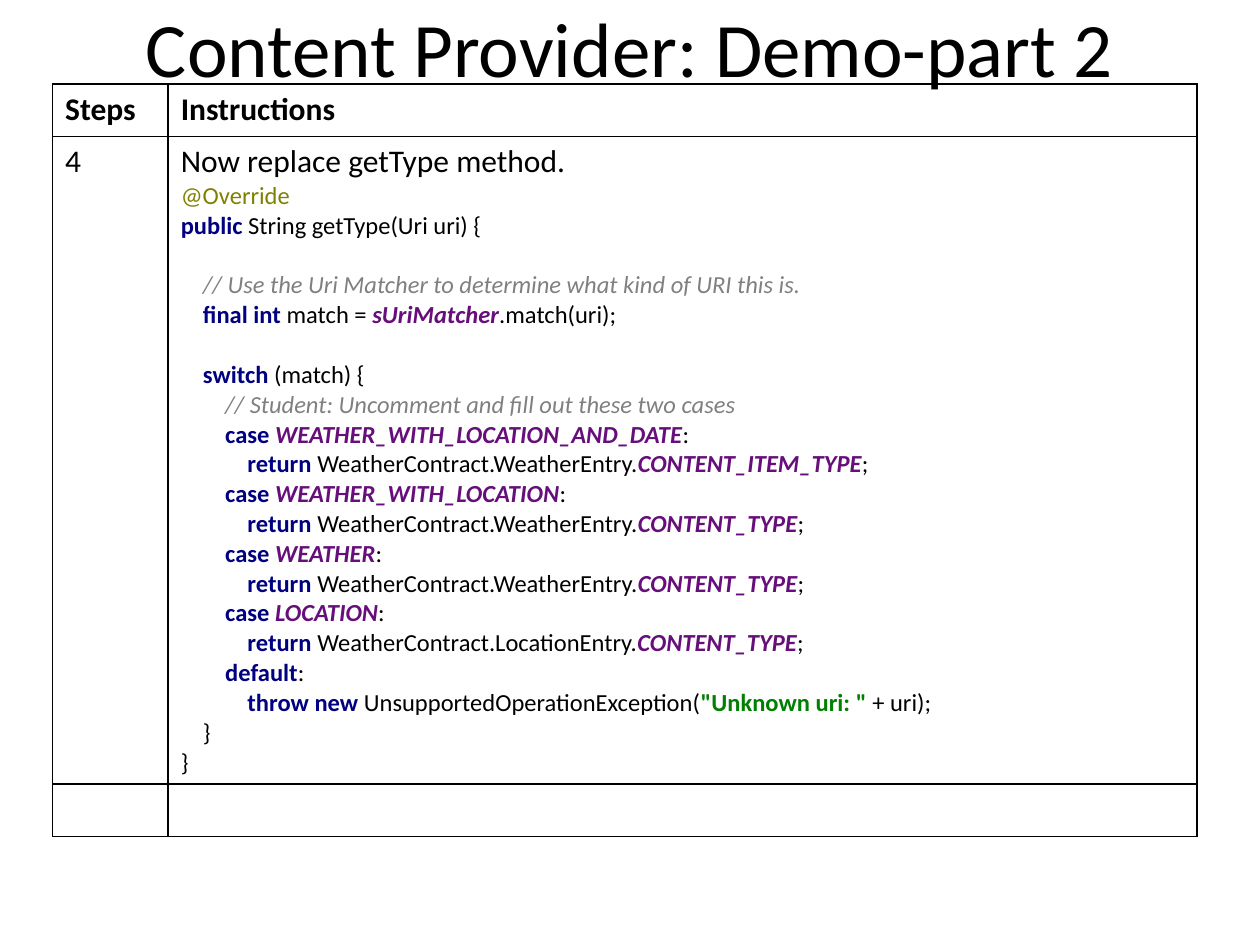
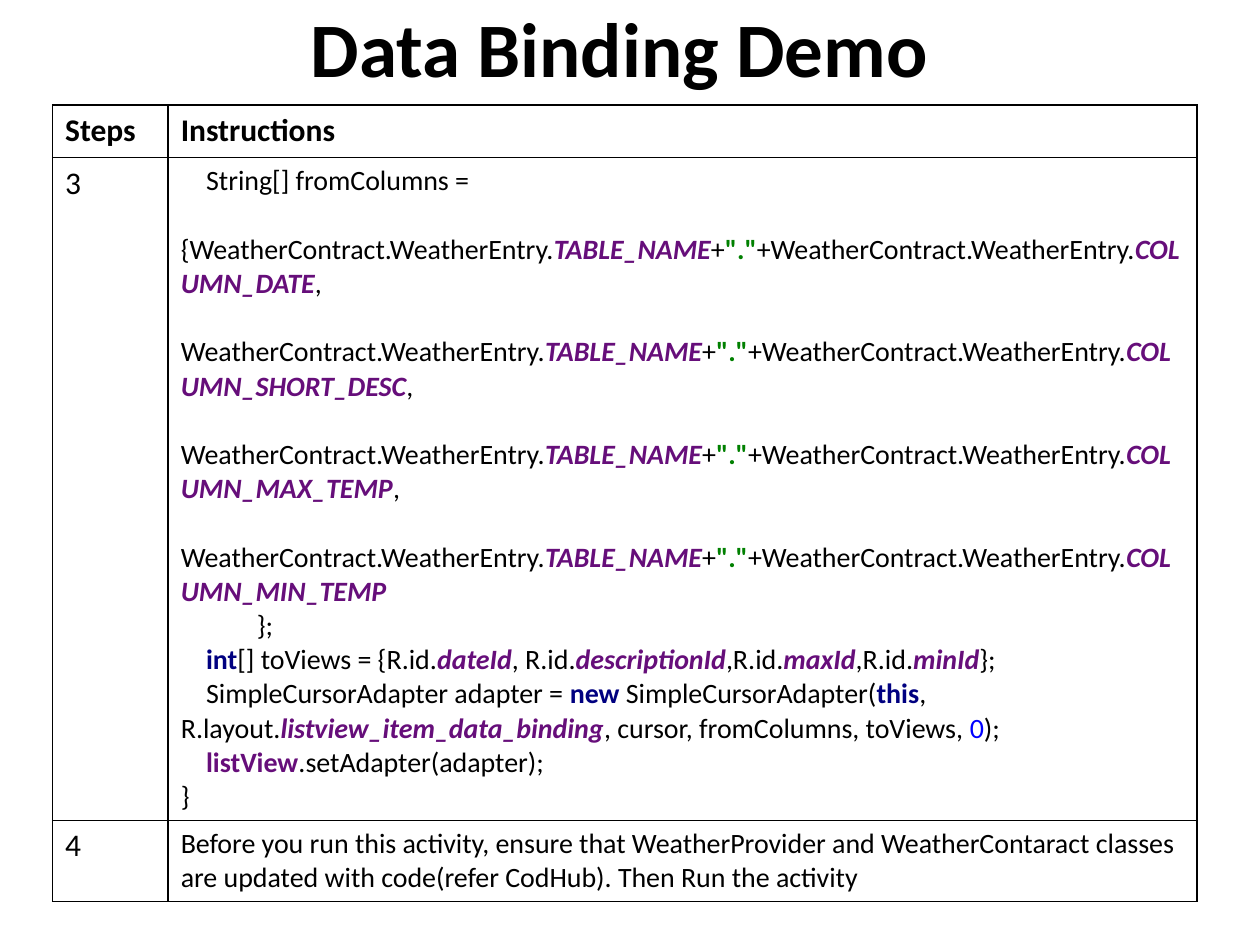
from dataclasses import dataclass

import pptx
import pptx.dml.color
import pptx.enum.text
import pptx.oxml
import pptx.oxml.ns
import pptx.util
from pptx.util import Cm

COLOURS = {
    "text": "000000",
    "annotation": "808000",
    "keyword": "000080",
    "comment": "808080",
    "field": "660E7A",
    "string": "008000",
    "number": "0000FF",
}
FONT = "Calibri"
LINE_HEIGHT = 1.22      # of the text size
SPACE_WIDTH = 0.008     # centimetres per point of text size
TABLE_LEFT = Cm(1.06)
COLUMN_WIDTHS = (Cm(2.33), Cm(20.74))
ROW_HEIGHT = Cm(1.06)


@dataclass(frozen=True)
class Style:
    colour: str
    bold: bool = False
    italic: bool = False


@dataclass(frozen=True)
class Passage:
    """Lines of text; `x...` marks a span in style x, see SYNTAX."""
    text: str
    size: int = 18
    bold: bool = False


@dataclass(frozen=True)
class Step:
    number: str
    passages: tuple[Passage, ...]
    bold: bool = False


@dataclass(frozen=True)
class StepSlide:
    title: str
    title_left: float
    title_bold: bool
    table_top: float
    table_height: float
    steps: tuple[Step, ...]


SYNTAX = {
    "a": Style("annotation"),
    "k": Style("keyword", bold=True),
    "c": Style("comment", italic=True),
    "f": Style("field", bold=True, italic=True),
    "m": Style("field", bold=True),
    "s": Style("string", bold=True),
    "n": Style("number"),
}

GET_TYPE_CODE = """`a@Override`
`kpublic `String getType(Uri uri) {

    `c// Use the Uri Matcher to determine what kind of URI this is.`
    `kfinal int `match = `fsUriMatcher`.match(uri);

    `kswitch `(match) {
        `c// Student: Uncomment and fill out these two cases`
        `kcase ``fWEATHER_WITH_LOCATION_AND_DATE`:
            `kreturn `WeatherContract.WeatherEntry.`fCONTENT_ITEM_TYPE`;
        `kcase ``fWEATHER_WITH_LOCATION`:
            `kreturn `WeatherContract.WeatherEntry.`fCONTENT_TYPE`;
        `kcase ``fWEATHER`:
            `kreturn `WeatherContract.WeatherEntry.`fCONTENT_TYPE`;
        `kcase ``fLOCATION`:
            `kreturn `WeatherContract.LocationEntry.`fCONTENT_TYPE`;
        `kdefault`:
            `kthrow new `UnsupportedOperationException(`s"Unknown uri: "` + uri);
    }
}"""

# Each column name stands on its own line after a gap
TABLE_COLUMN = ('WeatherContract.WeatherEntry.`fTABLE_NAME`+`s"."`'
                "+WeatherContract.WeatherEntry.`fCOLUMN_{}`")
COLUMN_LIST = ",\n\n".join(
    TABLE_COLUMN.format(name) for name in ("DATE", "SHORT_DESC", "MAX_TEMP", "MIN_TEMP"))

BINDING_CODE = """    String[] fromColumns =

{""" + COLUMN_LIST + """
            };
    `kint`[] toViews = {R.id.`fdateId`, R.id.`fdescriptionId`,R.id.`fmaxId`,R.id.`fminId`};
    SimpleCursorAdapter adapter = `knew `SimpleCursorAdapter(`kthis`, \
R.layout.`flistview_item_data_binding`, cursor, fromColumns, toViews, `n0`);
    `mlistView`.setAdapter(adapter);
}"""

HEADER = Step("Steps", (Passage("Instructions", bold=True),), bold=True)
SLIDES = (
    StepSlide("Content Provider: Demo-part 2", 1.27, False, 1.69, 14.99, (
        HEADER,
        Step("4", (Passage("Now replace getType method."), Passage(GET_TYPE_CODE, 14))),
        Step("", ()),
    )),
    StepSlide("Data Binding Demo", 1.06, True, 2.12, 15.8, (
        HEADER,
        Step("3", (Passage(BINDING_CODE, 16),)),
        Step("4", (Passage(
            "Before you run this activity, ensure that WeatherProvider and "
            "WeatherContaract classes are updated with code(refer CodHub). "
            "Then Run the activity", 16),)),
    )),
)


def format_span(span, size: int, style: Style) -> None:
    span.font.name = FONT
    span.font.size = pptx.util.Pt(size)
    span.font.bold = style.bold
    span.font.italic = style.italic
    span.font.color.rgb = pptx.dml.color.RGBColor.from_string(COLOURS[style.colour])


def write_line(para, line: str, passage: Passage) -> None:
    """Leading spaces become a first-line indent, marked spans become runs."""
    code = line.lstrip(" ")
    depth = len(line) - len(code)
    if depth:
        properties = para._p.get_or_add_pPr()
        properties.set("marL", "0")
        properties.set("indent", str(Cm(depth * SPACE_WIDTH * passage.size)))
    for position, piece in enumerate(code.split("`")):
        if not piece:
            continue
        marked = position % 2 == 1
        span = para.add_run()
        span.text = piece[1:] if marked else piece
        style = SYNTAX[piece[0]] if marked else Style("text", passage.bold)
        format_span(span, passage.size, style)


def fill_cell(cell, passages: tuple[Passage, ...]) -> None:
    frame = cell.text_frame
    started = False
    for passage in passages:
        gap = 0.0
        for line in passage.text.split("\n"):
            if not line:
                gap += passage.size * LINE_HEIGHT
                continue
            para = frame.add_paragraph() if started else frame.paragraphs[0]
            started = True
            if gap:
                para.space_before = pptx.util.Pt(gap)
                gap = 0.0
            write_line(para, line, passage)


def draw_borders(cell) -> None:
    properties = cell._tc.get_or_add_tcPr()
    for side in ("lnL", "lnR", "lnT", "lnB"):
        properties.append(pptx.oxml.parse_xml(
            f'<a:{side} {pptx.oxml.ns.nsdecls("a")} w="12700"><a:solidFill>'
            f'<a:srgbClr val="{COLOURS["text"]}"/></a:solidFill></a:{side}>'))


def add_title(page, content: StepSlide) -> None:
    box = page.shapes.title
    box.left, box.top = Cm(content.title_left), Cm(-0.64)
    box.width, box.height = Cm(22.86), Cm(3.18)
    frame = box.text_frame
    frame.text = content.title
    frame.auto_size = pptx.enum.text.MSO_AUTO_SIZE.NONE
    frame.vertical_anchor = pptx.enum.text.MSO_ANCHOR.MIDDLE
    para = frame.paragraphs[0]
    para.alignment = pptx.enum.text.PP_ALIGN.CENTER
    format_span(para.runs[0], 44, Style("text", content.title_bold))


def add_steps(page, content: StepSlide) -> None:
    holder = page.shapes.add_table(
        len(content.steps), len(COLUMN_WIDTHS), TABLE_LEFT, Cm(content.table_top),
        sum(COLUMN_WIDTHS), Cm(content.table_height))
    table = holder.table
    table.first_row = table.horz_banding = False
    for column, width in zip(table.columns, COLUMN_WIDTHS):
        column.width = width
    for row, step in zip(table.rows, content.steps):
        row.height = ROW_HEIGHT
        number = (Passage(step.number, bold=step.bold),)
        for cell, passages in zip(row.cells, (number, step.passages)):
            draw_borders(cell)
            cell.fill.background()
            fill_cell(cell, passages)
    holder.height = Cm(content.table_height)


def main() -> None:
    deck = pptx.Presentation()
    deck.slide_width, deck.slide_height = Cm(25.4), Cm(19.05)
    title_only = deck.slide_layouts[5]
    for content in SLIDES:
        page = deck.slides.add_slide(title_only)
        add_title(page, content)
        add_steps(page, content)
    deck.save("out.pptx")


if __name__ == "__main__":
    main()
